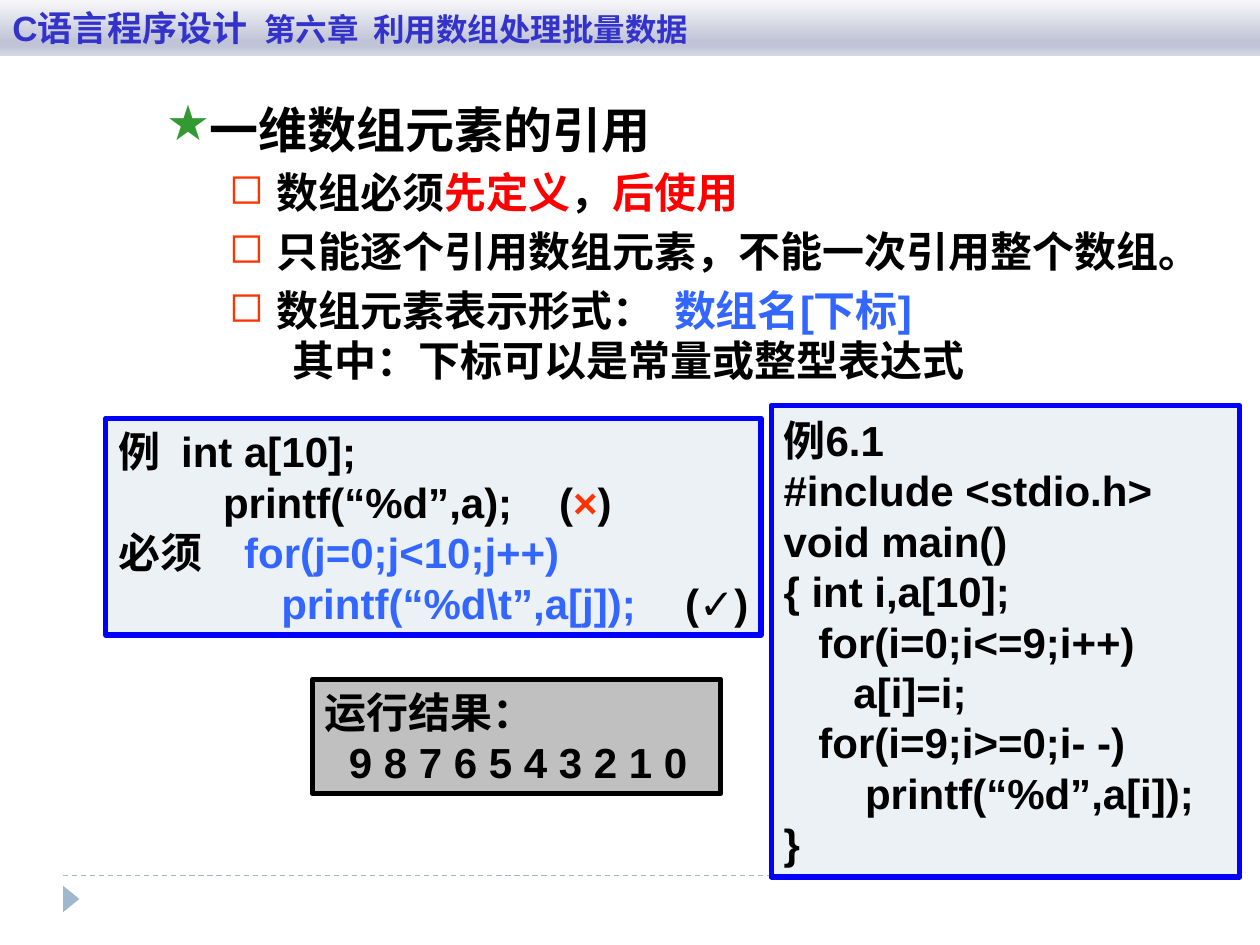
"""Build a lecture slide on referencing one-dimensional array elements in C."""
from dataclasses import dataclass
from typing import NamedTuple

from lxml.etree import SubElement
from pptx import Presentation
from pptx.dml.color import RGBColor
from pptx.enum.dml import MSO_LINE_DASH_STYLE as Dash
from pptx.enum.shapes import MSO_CONNECTOR as Conn, MSO_SHAPE as Shape
from pptx.enum.text import MSO_ANCHOR as Anchor, PP_ALIGN as Align
from pptx.oxml import parse_xml
from pptx.oxml.ns import nsdecls, qn
from pptx.util import Inches, Pt

COLORS = {
    "black": "000000", "red": "FF0000", "orange": "FF3300", "blue": "3366FF",
    "border": "0000FF", "code": "ECF1F5", "gray": "C0C0C0", "green": "339933",
    "title": "3333CC", "accent": "9FB8CD",
}
HEADER_STOPS = [(0, "F8F8FA"), (74, "C0C4D6"), (83, "C0C4D6"), (100, "D5D8E3")]


class Run(NamedTuple):
    text: str
    color: str = "black"
    size: float = 24


@dataclass
class Para:
    runs: list[Run]
    margin: float = 0
    indent: float = 0
    before: float = 0
    bullet: str = ""
    bullet_color: str = ""
    tab: float = 0


@dataclass
class Box:
    at: tuple[float, float, float, float]
    fill: str
    line: str
    paras: list[Para]


def rgb(name: str) -> RGBColor:
    return RGBColor.from_string(COLORS[name])


def plain(text: str, **layout) -> Para:
    return Para([Run(text)], **layout)


def item(*runs: Run) -> Para:
    return Para(list(runs), 1.38, -0.38, 4.8, "◻", "orange")


def format_para(p, para: Para) -> None:
    p.alignment = Align.LEFT
    pPr = p._p.get_or_add_pPr()
    pPr.set("marL", str(Inches(para.margin)))
    pPr.set("indent", str(Inches(para.indent)))
    if para.bullet:
        clr = SubElement(pPr, qn("a:buClr"))
        SubElement(clr, qn("a:srgbClr"), val=COLORS[para.bullet_color])
        SubElement(pPr, qn("a:buChar"), char=para.bullet)
    else:
        SubElement(pPr, qn("a:buNone"))
    if para.tab:
        tabs = SubElement(pPr, qn("a:tabLst"))
        SubElement(tabs, qn("a:tab"), pos=str(Inches(para.tab)), algn="l")
    if para.before:
        p.space_before = Pt(para.before)


def write(s, paras: list[Para], anchor: Anchor) -> None:
    tf = s.text_frame
    tf.word_wrap = True
    tf.vertical_anchor = anchor
    for i, para in enumerate(paras):
        p = tf.add_paragraph() if i else tf.paragraphs[0]
        format_para(p, para)
        for run in para.runs:
            r = p.add_run()
            r.text = run.text
            style = {"name": "Arial", "bold": True, "size": Pt(run.size)}
            for key, value in style.items():
                setattr(r.font, key, value)
            r.font.color.rgb = rgb(run.color)


def add_box(sl, box: Box) -> None:
    s = sl.shapes.add_shape(Shape.RECTANGLE, *map(Inches, box.at))
    s.shadow.inherit = False
    s.fill.solid()
    s.fill.fore_color.rgb = rgb(box.fill)
    s.line.color.rgb = rgb(box.line)
    s.line.width = Pt(3)
    write(s, box.paras, Anchor.MIDDLE)


def add_footer(sl) -> None:
    c = sl.shapes.add_connector(
        Conn.STRAIGHT, Inches(0.5), Inches(6.95), Inches(9.5), Inches(6.95))
    c.line.color.rgb = rgb("accent")
    c.line.width = Pt(0.75)
    c.line.dash_style = Dash.DASH
    SubElement(c._element.spPr, qn("a:effectLst"))
    s = sl.shapes.add_shape(
        Shape.ISOSCELES_TRIANGLE, *map(Inches, (0.46, 7.07, 0.21, 0.13)))
    s.rotation = 90
    s.shadow.inherit = False
    s.fill.solid()
    s.fill.fore_color.rgb = rgb("accent")
    s.line.fill.background()


def add_header(sl, left: str, right: str) -> None:
    s = sl.shapes.add_shape(Shape.RECTANGLE, 0, 0, Inches(10), Inches(0.44))
    s.shadow.inherit = False
    s.line.fill.background()
    stops = "".join(
        f'<a:gs pos="{pos * 1000}"><a:srgbClr val="{color}"/></a:gs>'
        for pos, color in HEADER_STOPS)
    s._element.spPr.find(qn("a:prstGeom")).addnext(parse_xml(
        f'<a:gradFill {nsdecls("a")}><a:gsLst>{stops}</a:gsLst>'
        '<a:lin ang="5400000" scaled="0"/></a:gradFill>'))
    runs = [Run(left + "\t", "title", 20), Run(right, "title", 18)]
    write(s, [Para(runs, tab=6.17)], Anchor.MIDDLE)


BODY = [
    Para([Run("一维数组元素的引用", size=28)], 0.81, -0.31,
         bullet="★", bullet_color="green"),
    item(Run("数组必须"), Run("先定义", "red"), Run("，"), Run("后使用", "red")),
    item(Run("只能逐个引用数组元素，不能一次引用整个数组。")),
    item(Run("数组元素表示形式：  "), Run("数组名[下标]", "blue")),
    plain("其中：下标可以是常量或整型表达式", margin=1.5),
]
USAGE = [
    plain("例\tint a[10];", tab=0.79),
    Para([Run("         printf(“%d”,a);\t("), Run("×", "orange"), Run(")")],
         tab=3.96),
    Para([Run("必须\t"), Run("for(j=0;j<10;j++)", "blue")], tab=0.97),
    Para([Run("              printf(“%d\\t”,a[j]);", "blue"), Run("\t(✓)")],
         tab=4.3),
]
PROGRAM = """例6.1
#include <stdio.h>
void main()
{ int i,a[10];
   for(i=0;i<=9;i++)
      a[i]=i;
   for(i=9;i>=0;i- -)
       printf(“%d”,a[i]);
}"""
RESULT = [plain("运行结果："), plain("9 8 7 6 5 4 3 2 1 0", margin=0.19)]
BOXES = [
    Box((0.84, 3.32, 5.2, 1.72), "code", "border", USAGE),
    Box((6.12, 3.22, 3.72, 3.74), "code", "border",
        [plain(line) for line in PROGRAM.splitlines()]),
    Box((2.48, 5.39, 3.24, 0.91), "gray", "black", RESULT),
]


def main() -> None:
    prs = Presentation()
    prs.slide_width, prs.slide_height = Inches(10), Inches(7.5)
    sl = prs.slides.add_slide(prs.slide_layouts[6])
    add_footer(sl)
    body = sl.shapes.add_textbox(*map(Inches, (0.72, 0.74, 8.73, 2.52)))
    write(body, BODY, Anchor.TOP)
    for box in BOXES:
        add_box(sl, box)
    add_header(sl, "C语言程序设计", "第六章  利用数组处理批量数据")
    prs.save("out.pptx")


if __name__ == "__main__":
    main()
